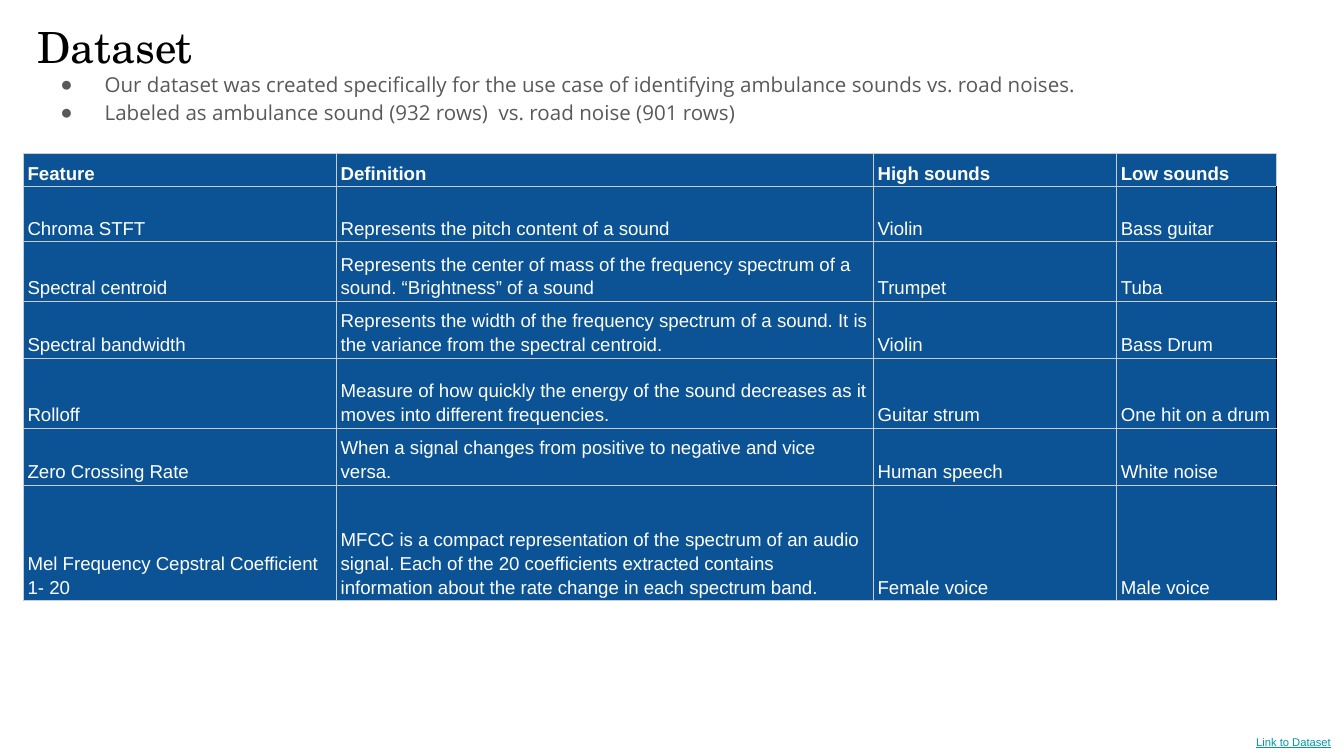
from dataclasses import dataclass

from pptx import Presentation
from pptx.dml.color import RGBColor as Rgb
from pptx.enum.text import MSO_ANCHOR as Anchor, PP_ALIGN as Align
from pptx.oxml import parse_xml
from pptx.oxml.ns import nsdecls
from pptx.util import Pt

SCALE = 4572


def px(length):
    return length * SCALE


@dataclass(frozen=True)
class Theme:
    ink: str = "000000"
    muted: str = "595959"
    link: str = "0097A7"
    paper: str = "FFFFFF"
    panel: str = "0B5394"
    grid: str = "CCCCCC"
    edge: str = "000000"
    heading_font: str = "TeX Gyre Schola"
    bullet_font: str = "Open Sans"
    table_font: str = "Arial"
    heading_size: int = 23
    bullet_size: int = 11
    table_size: int = 10
    link_size: int = 6
    border: float = 0.75


THEME = Theme()
HEADING = {"name": THEME.heading_font, "size": Pt(THEME.heading_size)}
BULLET = {"name": THEME.bullet_font, "size": Pt(THEME.bullet_size)}
LINK = {"name": THEME.table_font, "size": Pt(THEME.link_size), "underline": True}
CELL = {"name": THEME.table_font, "size": Pt(THEME.table_size)}
FRAME_MARGINS = {f"margin_{side}": px(20) for side in ("left", "top", "right", "bottom")}
CELL_FORMAT = {
    "margin_left": px(6), "margin_right": px(6),
    "margin_top": px(4), "margin_bottom": px(4),
    "vertical_anchor": Anchor.BOTTOM,
}

POINTS = [
    "Our dataset was created specifically for the use case of identifying ambulance sounds vs. road noises.",
    "Labeled as ambulance sound (932 rows)  vs. road noise (901 rows)",
]
COLUMN_WIDTHS = [466, 799, 362, 238]
FEATURES = [
    (49, "Feature", "Definition", "High sounds", "Low sounds"),
    (82, "Chroma STFT", "Represents the pitch content of a sound", "Violin", "Bass guitar"),
    (89, "Spectral centroid",
     "Represents the center of mass of the frequency spectrum of a sound. “Brightness” of a sound",
     "Trumpet", "Tuba"),
    (70, "Spectral bandwidth",
     "Represents the width of the frequency spectrum of a sound. It is the variance from the spectral centroid.",
     "Violin", "Bass Drum"),
    (104, "Rolloff",
     "Measure of how quickly the energy of the sound decreases as it moves into different frequencies.",
     "Guitar strum", "One hit on a drum"),
    (78, "Zero Crossing Rate",
     "When a signal changes from positive to negative and vice versa.",
     "Human speech", "White noise"),
    (172, "Mel Frequency Cepstral Coefficient  1- 20",
     "MFCC is a compact representation of the spectrum of an audio signal. "
     "Each of the 20 coefficients extracted contains information about the rate change in each spectrum band.",
     "Female voice", "Male voice"),
]


def assign(target, values):
    for name, value in values.items():
        setattr(target, name, value)


def write(paragraph, wording, font, color, layout=None):
    run = paragraph.add_run()
    run.text = wording
    assign(run.font, font)
    run.font.color.rgb = Rgb.from_string(color)
    assign(paragraph, layout or {})
    size = int(font["size"].pt * 100)
    paragraph._p.append(parse_xml(f'<a:endParaRPr {nsdecls("a")} sz="{size}"/>'))


def add_frame(slide, box, anchor):
    frame = slide.shapes.add_textbox(*map(px, box)).text_frame
    assign(frame, {"word_wrap": True, "vertical_anchor": anchor, **FRAME_MARGINS})
    return frame


def add_bullet(paragraph):
    properties = paragraph._p.get_or_add_pPr()
    properties.set("marL", str(px(100)))
    properties.set("indent", str(px(-66)))
    for markup in (
        f'<a:buClr {nsdecls("a")}><a:srgbClr val="{THEME.muted}"/></a:buClr>',
        f'<a:buFont {nsdecls("a")} typeface="{THEME.table_font}"/>',
        f'<a:buChar {nsdecls("a")} char="●"/>',
    ):
        properties.append(parse_xml(markup))


def add_borders(cell, colors):
    properties = cell._tc.get_or_add_tcPr()
    for position, (side, color) in enumerate(colors.items()):
        properties.insert(position, parse_xml(
            f'<a:ln{side} {nsdecls("a")} w="{Pt(THEME.border)}">'
            f'<a:solidFill><a:srgbClr val="{color}"/></a:solidFill></a:ln{side}>'))


def add_intro(slide, box):
    intro = add_frame(slide, box, Anchor.TOP)
    write(intro.paragraphs[0], "Dataset", HEADING, THEME.ink)
    for point, spacing in zip(POINTS, (1.0, 1.15)):
        paragraph = intro.add_paragraph()
        write(paragraph, point, BULLET, THEME.muted, {"line_spacing": spacing})
        add_bullet(paragraph)


def add_feature_table(slide, box):
    holder = slide.shapes.add_table(len(FEATURES), len(COLUMN_WIDTHS), *map(px, box))
    table = holder.table
    for column, width in zip(table.columns, COLUMN_WIDTHS):
        column.width = px(width)
    last = len(COLUMN_WIDTHS) - 1
    for row, (height, *entries) in enumerate(FEATURES):
        table.rows[row].height = px(height)
        for column, entry in enumerate(entries):
            cell = table.cell(row, column)
            assign(cell, CELL_FORMAT)
            cell.fill.solid()
            cell.fill.fore_color.rgb = Rgb.from_string(THEME.panel)
            write(cell.text_frame.paragraphs[0], entry, {**CELL, "bold": row == 0},
                  THEME.paper, {"line_spacing": 1.15})
            right = THEME.edge if row and column == last else THEME.grid
            add_borders(cell, {"L": THEME.grid, "R": right, "T": THEME.grid, "B": THEME.grid})
    assign(holder, {"width": px(box[2]), "height": px(box[3])})


def add_dataset_link(slide, box):
    footer = add_frame(slide, box, Anchor.MIDDLE)
    write(footer.paragraphs[0], "Link to Dataset", LINK, THEME.link, {"alignment": Align.RIGHT})


def main():
    deck = Presentation()
    assign(deck, {"slide_width": px(2000), "slide_height": px(1125)})
    slide = deck.slides.add_slide(deck.slide_layouts[6])
    add_intro(slide, (36, 10, 1864, 222))
    add_dataset_link(slide, (1002, 1061, 998, 86))
    add_feature_table(slide, (35, 229, 656, 656))
    deck.save("out.pptx")


if __name__ == "__main__":
    main()
